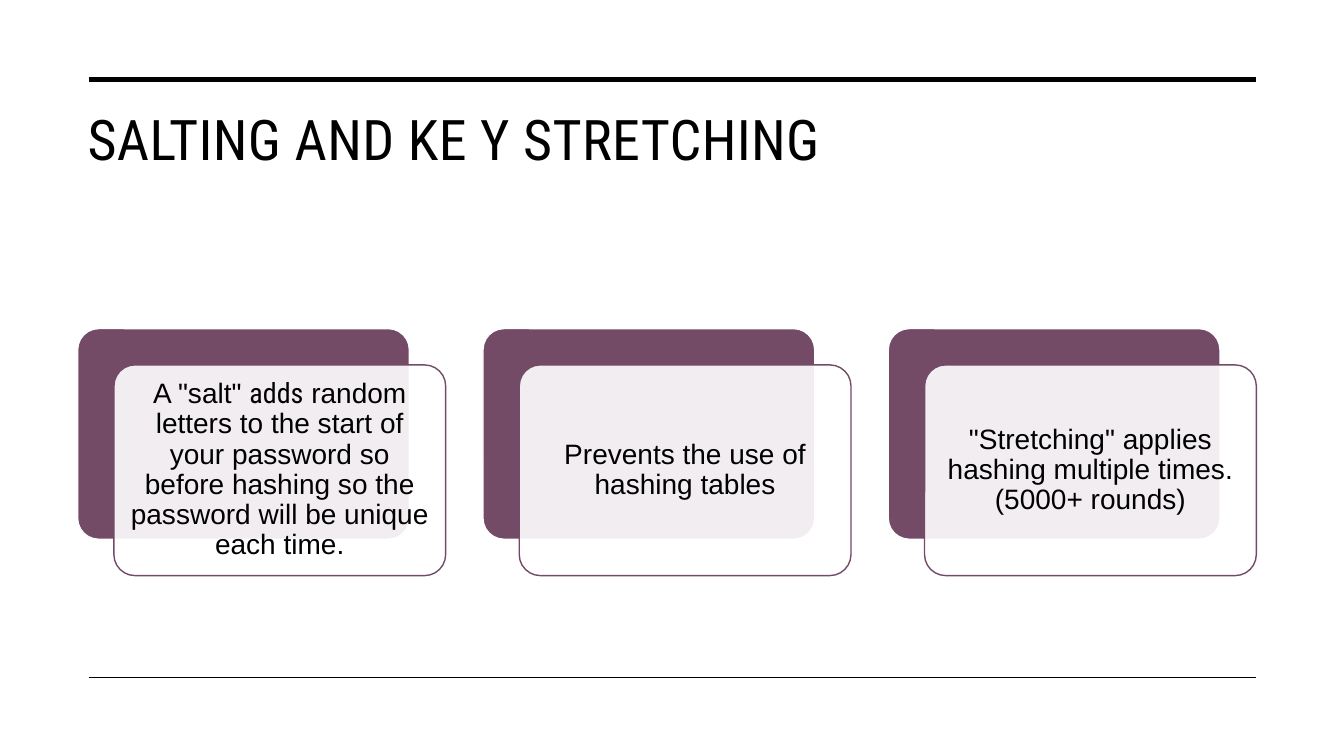
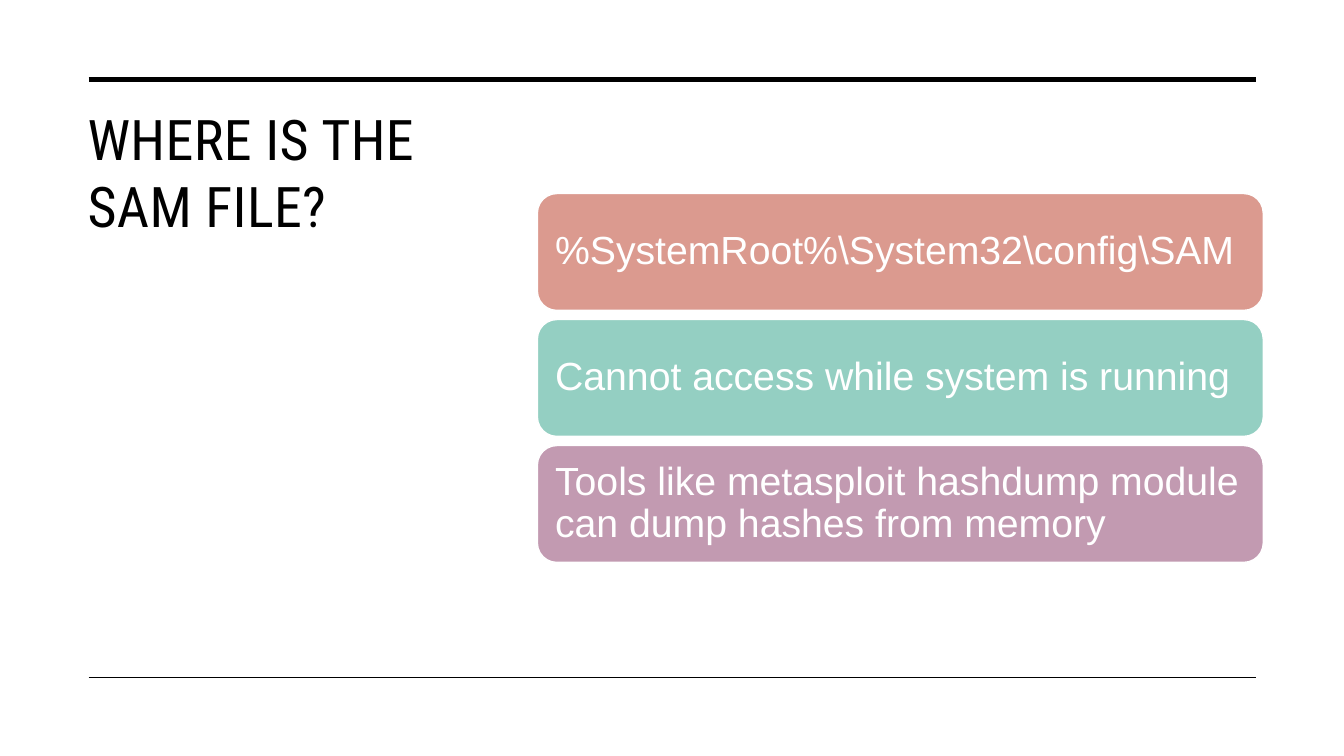
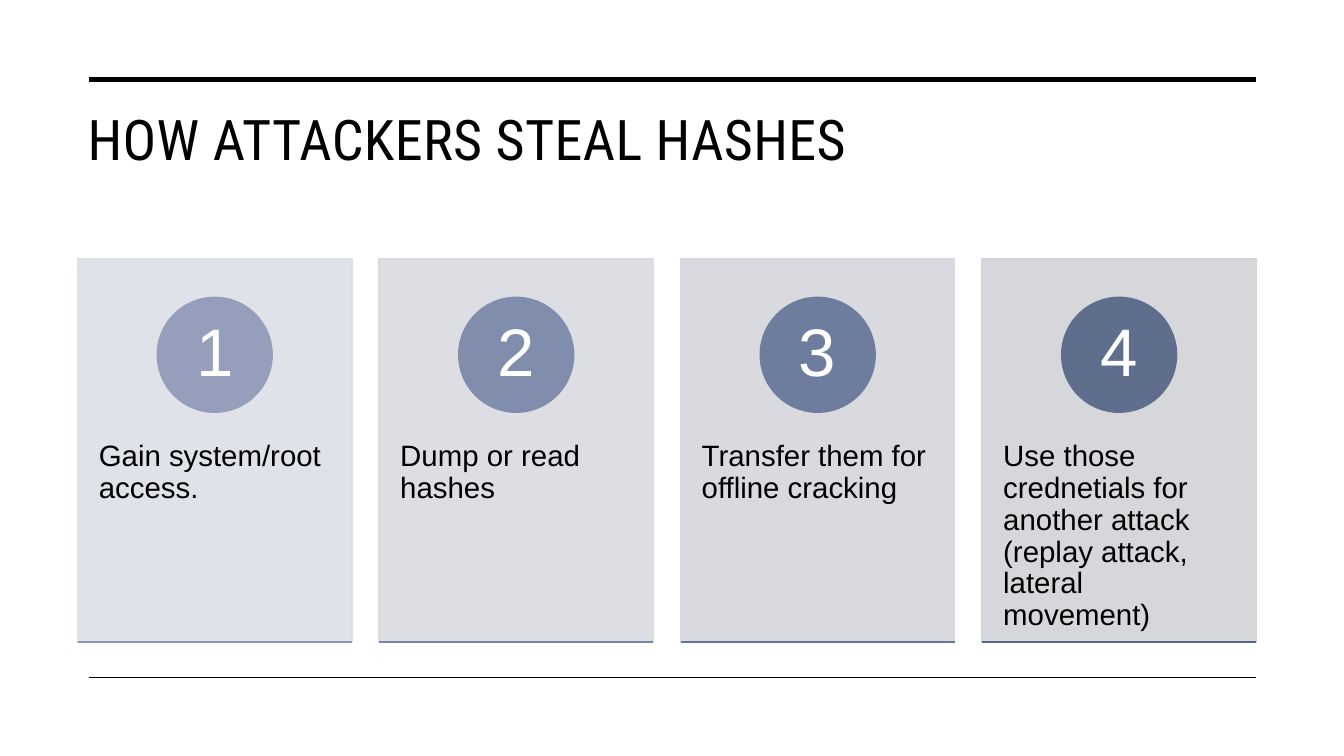
from pptx import Presentation
from pptx.dml.color import RGBColor
from pptx.enum.shapes import MSO_CONNECTOR, MSO_SHAPE
from pptx.enum.text import MSO_ANCHOR, PP_ALIGN
from pptx.oxml.ns import qn
from pptx.util import Inches, Pt
from lxml.etree import SubElement


class Theme:
    black, white, plum = "000000", "FFFFFF", "734B67"
    head, body = "Roboto Condensed", "Arial"
    title, salt, file, step, digit = 40, 20, 28, 21, 48
    left, right = 0.88, 12.46
    rules = [(0.79, 3.5), (6.72, 1)]


SALTS = [
    [
        ('A "salt" ', Theme.body),
        ("adds", Theme.head),
        (" random letters to the start of your password so before hashing so the password will be unique each time.", Theme.body),
    ],
    [("Prevents the use of hashing tables", Theme.body)],
    [('"Stretching" applies hashing multiple times. (5000+ rounds)', Theme.body)],
]
FILES = [
    (r"%SystemRoot%\System32\config\SAM", "DB9A8F"),
    ("Cannot access while system is running", "94CFC2"),
    ("Tools like metasploit hashdump module can dump hashes from memory", "C29AB1"),
]
STEPS = [
    ("Gain system/root access.", "DDDFE7", "959EBB", "8B96B4"),
    ("Dump or read hashes", "D9DBE2", "818DAD", "7885A6"),
    ("Transfer them for offline cracking", "D5D7DD", "6E7D9E", "667596"),
    ("Use those crednetials for another attack (replay attack, lateral movement)", "D1D3D8", "5F6E8C", "596781"),
]


def rgb(code):
    return RGBColor.from_string(code)


def write(shape, runs, size, color, inset, align=PP_ALIGN.LEFT, anchor=MSO_ANCHOR.MIDDLE, lead=0.9, track=0):
    frame = shape.text_frame
    frame.word_wrap = True
    frame.vertical_anchor = anchor
    side, top = inset
    frame.margin_left = frame.margin_right = Inches(side)
    frame.margin_top = Inches(top)
    frame.margin_bottom = Inches(min(top, 0.12))
    para = frame.paragraphs[0]
    para.alignment = align
    para.line_spacing = lead
    for text, face in runs:
        run = para.add_run()
        run.text = text
        run.font.name = face
        run.font.size = Pt(size)
        run.font.color.rgb = rgb(color)
        if track:
            run._r.get_or_add_rPr().set("spc", str(track))


def box(slide, kind, area, fill, line, round=None, alpha=None):
    shape = slide.shapes.add_shape(kind, *map(Inches, area))
    shape.shadow.inherit = False
    if round:
        shape.adjustments[0] = round
    shape.fill.solid()
    shape.fill.fore_color.rgb = rgb(fill)
    if alpha:
        for tint in shape._element.spPr.iter(qn("a:srgbClr")):
            SubElement(tint, qn("a:alpha")).set("val", str(alpha * 1000))
    shape.line.color.rgb = rgb(line)
    shape.line.width = Pt(1)
    return shape


def rule(slide, left, right, y, color, width):
    line = slide.shapes.add_connector(MSO_CONNECTOR.STRAIGHT, *map(Inches, (left, y, right, y)))
    line.line.color.rgb = rgb(color)
    line.line.width = Pt(width)
    SubElement(line._element.spPr, qn("a:effectLst"))


def page(deck, title, width=11.69, height=1.26):
    slide = deck.slides.add_slide(deck.slide_layouts[6])
    for y, thick in Theme.rules:
        rule(slide, Theme.left, Theme.right, y, Theme.black, thick)
    head = slide.shapes.add_textbox(*map(Inches, (0.77, 0.99, width, height)))
    write(head, [(title, Theme.head)], Theme.title, Theme.black, (0.1, 0.05),
          anchor=MSO_ANCHOR.TOP, lead=1.0, track=30)
    return slide


def salting(deck):
    slide = page(deck, "SALTING AND KE Y STRETCHING")
    wide, high, shift = 3.29, 2.09, 0.36
    pitch = (Theme.right - 0.77 - shift - wide) / (len(SALTS) - 1)
    for i, runs in enumerate(SALTS):
        x, y = 0.77 + i * pitch, 3.26
        box(slide, MSO_SHAPE.ROUNDED_RECTANGLE, (x, y, wide, high), Theme.plum, Theme.white, 0.1)
        card = box(slide, MSO_SHAPE.ROUNDED_RECTANGLE, (x + shift, y + shift, wide, high),
                   Theme.white, Theme.plum, 0.1, 90)
        write(card, runs, Theme.salt, Theme.black, (0.08, 0.08), PP_ALIGN.CENTER)


def location(deck):
    slide = page(deck, "WHERE IS THE SAM FILE?", 4, 4.82)
    for i, (text, fill) in enumerate(FILES):
        bar = box(slide, MSO_SHAPE.ROUNDED_RECTANGLE, (5.33, 1.92 + i * 1.25, 7.2, 1.16), fill, Theme.white)
        write(bar, [(text, Theme.body)], Theme.file, Theme.white, (0.12, 0.12))


def stealing(deck):
    slide = page(deck, "HOW ATTACKERS STEAL HASHES")
    wide, high, disc, y = 2.72, 3.8, 1.14, 2.57
    pitch = (Theme.right - 0.77 - wide) / (len(STEPS) - 1)
    for i, (text, pale, mid, dark) in enumerate(STEPS):
        x = 0.77 + i * pitch
        card = box(slide, MSO_SHAPE.RECTANGLE, (x, y, wide, high), pale, pale, alpha=90)
        write(card, [(text, Theme.body)], Theme.step, Theme.black, (0.21, 1.81), anchor=MSO_ANCHOR.TOP)
        dot = box(slide, MSO_SHAPE.OVAL, (x + (wide - disc) / 2, y + 0.38, disc, disc), mid, mid)
        write(dot, [(str(i + 1), Theme.body)], Theme.digit, Theme.white, (0.09, 0.01), PP_ALIGN.CENTER)
        rule(slide, x, x + wide, y + high, dark, 1)


def main():
    deck = Presentation()
    deck.slide_width, deck.slide_height = Inches(13.33), Inches(7.5)
    for build in (salting, location, stealing):
        build(deck)
    deck.save("out.pptx")


if __name__ == "__main__":
    main()
